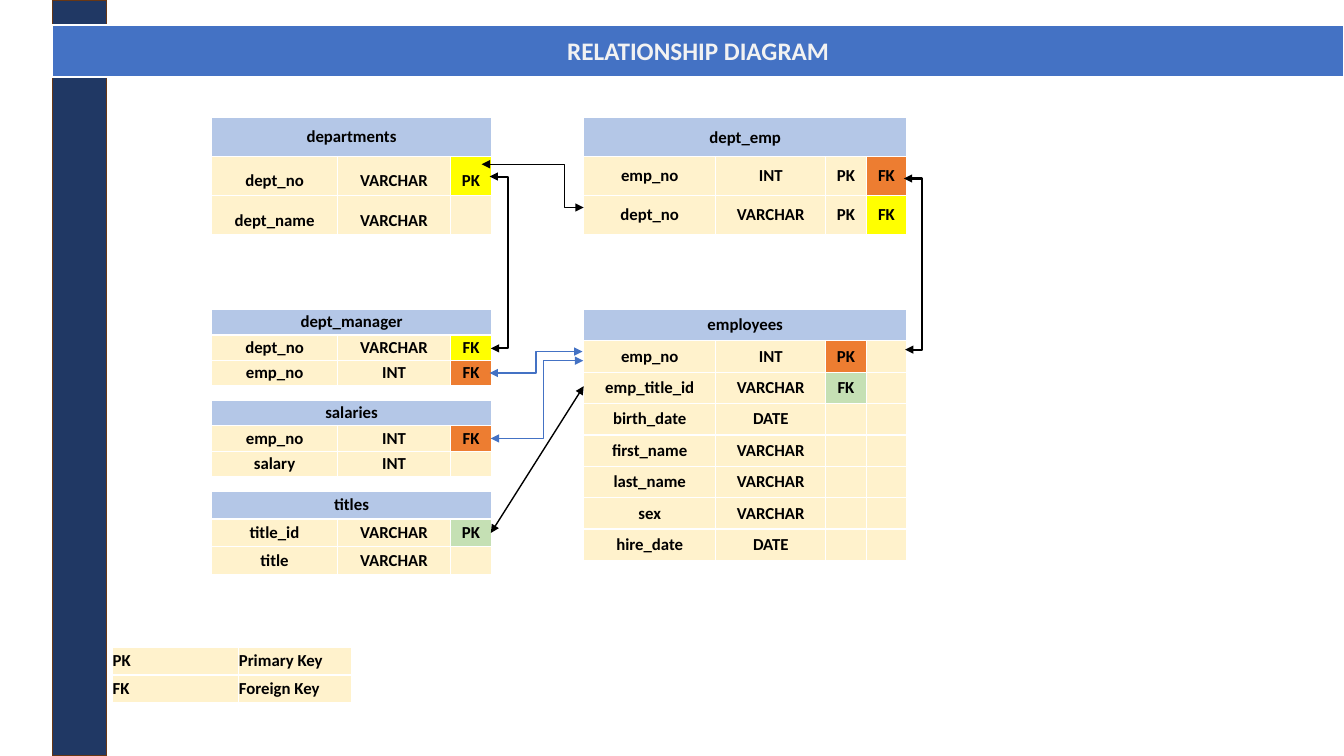
from lxml import etree
from pptx import Presentation
from pptx.dml.color import RGBColor
from pptx.enum.shapes import MSO_CONNECTOR, MSO_SHAPE
from pptx.enum.text import MSO_ANCHOR, PP_ALIGN
from pptx.oxml.ns import qn
from pptx.util import Cm, Pt

RECTANGLE = MSO_SHAPE.RECTANGLE
STRAIGHT, ELBOW = MSO_CONNECTOR.STRAIGHT, MSO_CONNECTOR.ELBOW
MIDDLE = MSO_ANCHOR.MIDDLE
LEFT, CENTER = PP_ALIGN.LEFT, PP_ALIGN.CENTER

FONT = "Calibri"
COLORS = {
    "navy": "203864", "brown": "683715", "blue": "4472C4",
    "white": "FFFFFF", "title": "F2F2F2", "black": "000000",
    "header": "B4C7E7", "field": "FFF2CC",
    "department": "FFFF00", "employee": "ED7D31", "job_title": "C5E0B4",
}

# Column widths and left edges of the two groups of tables, in cm
LEFT_EDGE, LEFT_COLUMNS = 5.33, [3.18, 2.84, 1.04]
RIGHT_EDGE, RIGHT_COLUMNS = 14.71, [3.33, 2.77, 1.02, 1.02]

# Left, top, column widths, row height, line spacing, name, fields, key colours
ENTITIES = [
    (LEFT_EDGE, 2.95, LEFT_COLUMNS, 0.99, 1.5, "departments",
     [("dept_no", "VARCHAR", "PK"), ("dept_name", "VARCHAR", "")],
     {(1, 2): "department"}),
    (LEFT_EDGE, 7.8, LEFT_COLUMNS, 0.64, None, "dept_manager",
     [("dept_no", "VARCHAR", "FK"), ("emp_no", "INT", "FK")],
     {(1, 2): "department", (2, 2): "employee"}),
    (LEFT_EDGE, 10.09, LEFT_COLUMNS, 0.64, None, "salaries",
     [("emp_no", "INT", "FK"), ("salary", "INT", "")],
     {(1, 2): "employee"}),
    (LEFT_EDGE, 12.38, LEFT_COLUMNS, 0.7, None, "titles",
     [("title_id", "VARCHAR", "PK"), ("title", "VARCHAR", "")],
     {(1, 2): "job_title"}),
    (RIGHT_EDGE, 2.97, RIGHT_COLUMNS, 0.98, None, "dept_emp",
     [("emp_no", "INT", "PK", "FK"), ("dept_no", "VARCHAR", "PK", "FK")],
     {(1, 3): "employee", (2, 3): "department"}),
    (RIGHT_EDGE, 7.8, RIGHT_COLUMNS, 0.79, None, "employees",
     [("emp_no", "INT", "PK", ""), ("emp_title_id", "VARCHAR", "FK", ""),
      ("birth_date", "DATE", "", ""), ("first_name", "VARCHAR", "", ""),
      ("last_name", "VARCHAR", "", ""), ("sex", "VARCHAR", "", ""),
      ("hire_date", "DATE", "", "")],
     {(1, 2): "employee", (2, 2): "job_title"}),
]

# Start, end, x of the bend (None for a straight line), colour, width
RELATIONS = [
    ((12.14, 4.14), (14.71, 5.23), 14.23, "black", 1),
    ((12.34, 4.45), (12.37, 8.78), 12.8, "black", 1.5),
    ((14.71, 9.73), (12.37, 13.43), None, "black", 1),
    ((14.7, 9.09), (12.37, 11.05), 13.69, "blue", 1),
    ((14.68, 8.86), (12.34, 9.4), 13.51, "blue", 1),
    ((22.78, 4.5), (22.81, 8.81), 23.24, "black", 1.5),
]


def color(name):
    return RGBColor.from_string(COLORS[name])


def paint(shape, fill, line, width):
    shape.fill.solid()
    shape.fill.fore_color.rgb = color(fill)
    shape.line.color.rgb = color(line)
    shape.line.width = Pt(width)


def set_font(para, size, color_name):
    font = para.font
    font.name, font.size, font.bold = FONT, Pt(size), True
    font.color.rgb = color(color_name)


def add_stripe(page):
    stripe = page.shapes.add_shape(RECTANGLE, Cm(1.32), 0, Cm(1.37), Cm(19.05))
    stripe.shadow.inherit = False
    paint(stripe, "navy", "brown", 1)
    return stripe


def format_title(title, text):
    title.left, title.top = Cm(1.32), Cm(0.62)
    title.width, title.height = Cm(32.55), Cm(1.31)
    paint(title, "blue", "white", 1.5)
    frame = title.text_frame
    frame.text = text
    frame.vertical_anchor = MIDDLE
    para = frame.paragraphs[0]
    para.alignment = CENTER
    set_font(para, 18, "title")


def add_borders(cell):
    properties = cell._tc.get_or_add_tcPr()
    for side in ("lnL", "lnR", "lnT", "lnB"):
        border = etree.SubElement(properties, qn(f"a:{side}"), w=str(Pt(1)))
        fill = etree.SubElement(border, qn("a:solidFill"))
        etree.SubElement(fill, qn("a:srgbClr"), val=COLORS["white"])


def format_cell(cell, text, fill, alignment, spacing=None):
    add_borders(cell)
    cell.fill.solid()
    cell.fill.fore_color.rgb = color(fill)
    cell.margin_left = cell.margin_right = cell.margin_top = cell.margin_bottom = 0
    cell.vertical_anchor = MIDDLE
    cell.text = text
    para = cell.text_frame.paragraphs[0]
    para.alignment = alignment
    set_font(para, 12, "black")
    if not text:
        etree.SubElement(para._p, qn("a:endParaRPr"), sz="1200")
    elif spacing:
        para.line_spacing = spacing


def add_grid(page, left, top, columns, row_height, row_count):
    table = page.shapes.add_table(
        row_count, len(columns), Cm(left), Cm(top),
        Cm(sum(columns)), Cm(row_height * row_count)).table
    table.first_row = table.horz_banding = False
    for column, width in zip(table.columns, columns):
        column.width = Cm(width)
    return table


def add_entity(page, left, top, columns, row_height, spacing, name, fields, keys):
    table = add_grid(page, left, top, columns, row_height, len(fields) + 1)
    for index in range(len(columns)):
        format_cell(table.cell(0, index), "" if index else name, "header", CENTER)
    table.cell(0, 0).merge(table.cell(0, len(columns) - 1))
    for row, values in enumerate(fields, 1):
        for index, value in enumerate(values):
            format_cell(table.cell(row, index), value,
                        keys.get((row, index), "field"), CENTER, spacing)


def add_legend(page, entries):
    table = add_grid(page, 2.84, 16.31, LEFT_COLUMNS[:2], 0.7, len(entries))
    for row, values in enumerate(entries):
        for index, value in enumerate(values):
            format_cell(table.cell(row, index), value, "field", LEFT)


def add_relation(page, start, end, bend, color_name, width):
    kind = STRAIGHT if bend is None else ELBOW
    connector = page.shapes.add_connector(kind, *map(Cm, start + end))
    connector.line.color.rgb = color(color_name)
    connector.line.width = Pt(width)
    properties = connector._element.spPr
    outline = properties.find(qn("a:ln"))
    for tip in ("headEnd", "tailEnd"):
        etree.SubElement(outline, qn(f"a:{tip}"), type="triangle")
    etree.SubElement(properties, qn("a:effectLst"))
    if bend is not None:
        share = round((bend - start[0]) / (end[0] - start[0]) * 100000)
        guides = properties.find(qn("a:prstGeom")).get_or_add_avLst()
        etree.SubElement(guides, qn("a:gd"), name="adj1", fmla=f"val {share}")


def main():
    deck = Presentation()
    deck.slide_width, deck.slide_height = Cm(33.87), Cm(19.05)
    page = deck.slides.add_slide(deck.slide_layouts[5])

    # Title banner over the side stripe
    title = page.shapes.title
    format_title(title, "RELATIONSHIP DIAGRAM")
    stripe = add_stripe(page)
    title.element.addprevious(stripe.element)

    # Database tables and the relations between their keys
    for entity in ENTITIES:
        add_entity(page, *entity)
    for relation in RELATIONS:
        add_relation(page, *relation)

    # Legend
    add_legend(page, [("PK", "Primary Key"), ("FK", "Foreign Key")])

    deck.save("out.pptx")


if __name__ == "__main__":
    main()
